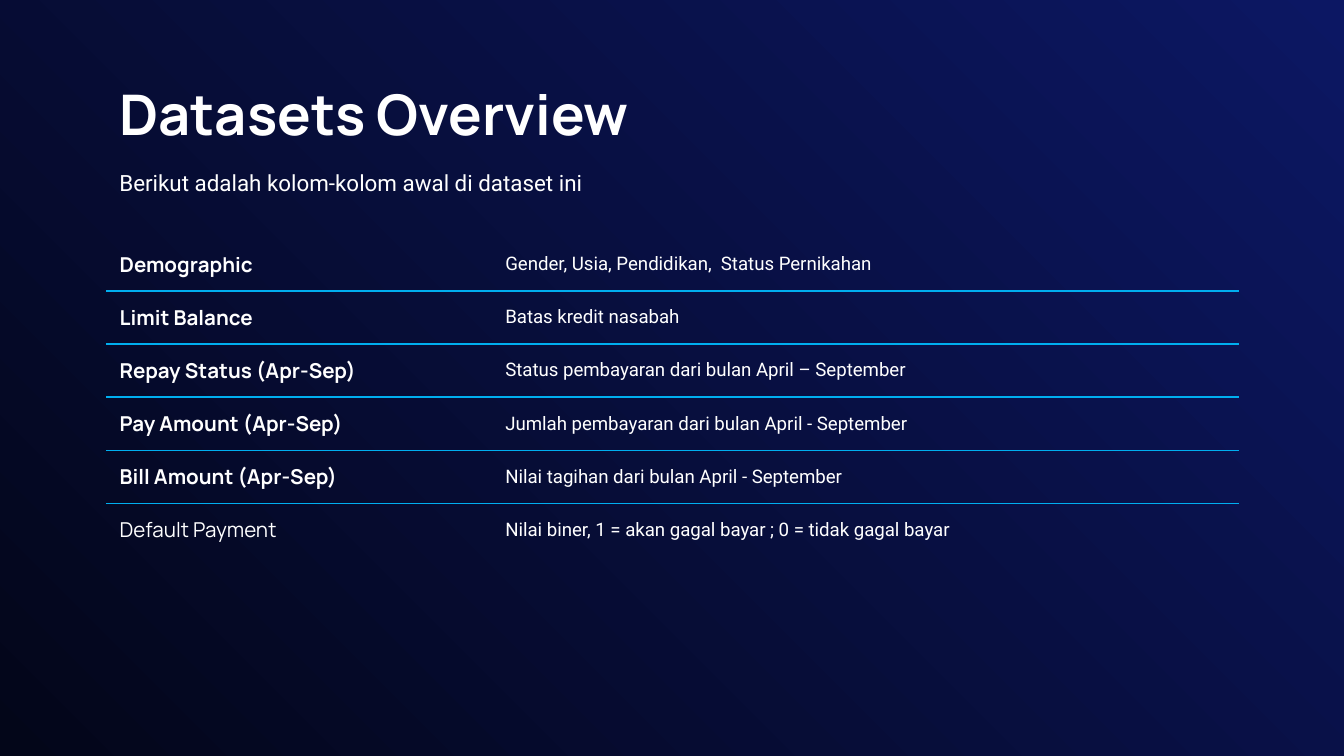
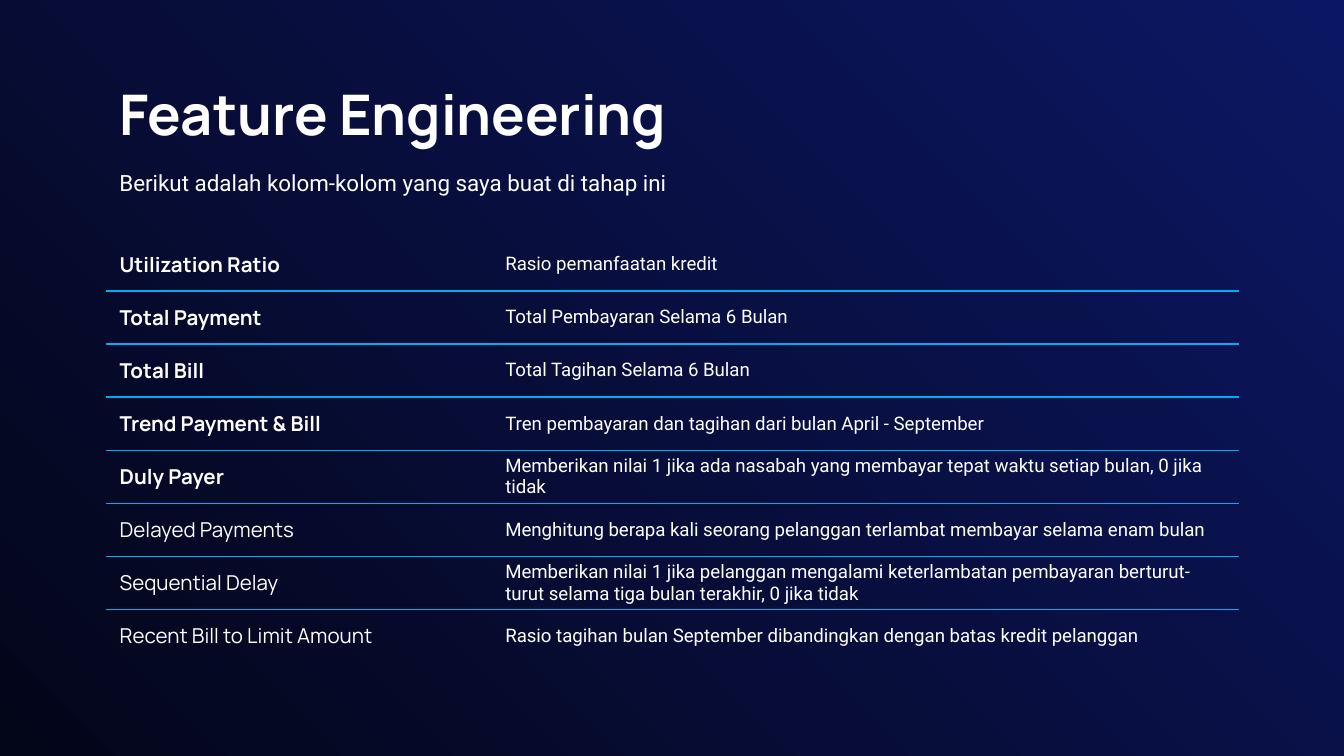
from lxml import etree
from pptx import Presentation
from pptx.dml.color import RGBColor
from pptx.enum import text
from pptx.oxml import ns, parse_xml
from pptx.util import Inches, Pt

WHITE, CYAN = "FFFFFF", "00AEEF"
NAVY, NIGHT = "0C1763", "030619"
HEAD, BODY = "Manrope", "Roboto"
LEFT, WIDTH = 0.79, 8.43
NAME_W = 2.87
ROW_H = Inches(3.16) // 8
NO_STYLE = "{2D5ABB26-0587-4C30-8999-92F81FD0307C}"

DATASETS = [
    ("Demographic", "Gender, Usia, Pendidikan,  Status Pernikahan"),
    ("Limit Balance", "Batas kredit nasabah"),
    ("Repay Status (Apr-Sep)", "Status pembayaran dari bulan April – September"),
    ("Pay Amount (Apr-Sep)", "Jumlah pembayaran dari bulan April - September"),
    ("Bill Amount (Apr-Sep)", "Nilai tagihan dari bulan April - September"),
    ("Default Payment", "Nilai biner, 1 = akan gagal bayar ; 0 = tidak gagal bayar"),
]
FEATURES = [
    ("Utilization Ratio", "Rasio pemanfaatan kredit"),
    ("Total Payment", "Total Pembayaran Selama 6 Bulan"),
    ("Total Bill", "Total Tagihan Selama 6 Bulan"),
    ("Trend Payment & Bill", "Tren pembayaran dan tagihan dari bulan April - September"),
    ("Duly Payer", "Memberikan nilai 1 jika ada nasabah yang membayar tepat waktu "
                   "setiap bulan, 0 jika tidak"),
    ("Delayed Payments", "Menghitung berapa kali seorang pelanggan terlambat membayar "
                         "selama enam bulan"),
    ("Sequential Delay", "Memberikan nilai 1 jika pelanggan mengalami keterlambatan pembayaran "
                         "berturut-turut selama tiga bulan terakhir, 0 jika tidak"),
    ("Recent Bill to Limit Amount", "Rasio tagihan bulan September dibandingkan dengan "
                                    "batas kredit pelanggan"),
]
BOLD_ROWS = 5


def color(value):
    """Turn a hex string into a colour."""
    return RGBColor.from_string(value)


def style(p, font, size, bold=False):
    """Set the font of a paragraph."""
    p.font.name, p.font.size, p.font.bold = font, Pt(size), bold
    p.font.color.rgb = color(WHITE)


def paint_background(s):
    """Give the slide a radial gradient that starts at the top right."""
    fill = s.background.fill
    fill.gradient()
    fill.gradient_stops[0].color.rgb = color(NAVY)
    fill.gradient_stops[1].color.rgb = color(NIGHT)
    grad = s.background._cSld.find(".//" + ns.qn("a:gradFill"))
    stops = grad.find(ns.qn("a:gsLst"))
    for stop, pos in zip(stops, ("0", "100000")):
        stop.set("pos", pos)
    for child in list(grad):
        if child is not stops:
            grad.remove(child)
    grad.append(parse_xml(
        f'<a:path {ns.nsdecls("a")} path="circle">'
        '<a:fillToRect l="100000" t="0" r="0" b="100000"/></a:path>'))


def add_text(s, box, words, font, size, bold=False, right=0.1):
    """Add one line of text in a box of left, top, width and height."""
    tf = s.shapes.add_textbox(*map(Inches, box)).text_frame
    tf.word_wrap = True
    tf.margin_left = tf.margin_top = tf.margin_bottom = Inches(0.1)
    tf.margin_right = Inches(right)
    p = tf.paragraphs[0]
    p.text = words
    style(p, font, size, bold)


def rule(cell, sides):
    """Draw cyan lines on the given sides of a cell."""
    tc_pr = cell._tc.get_or_add_tcPr()
    for i, side in enumerate(sides):
        ln = etree.Element(ns.qn("a:ln" + side), w=str(Pt(0.75)))
        fill = etree.SubElement(ln, ns.qn("a:solidFill"))
        etree.SubElement(fill, ns.qn("a:srgbClr"), val=CYAN)
        tc_pr.insert(i, ln)


def add_rows(s, left, top, width, rows):
    """Add the table of column names and descriptions."""
    frame = s.shapes.add_table(len(rows), 2, Inches(left), Inches(top),
                               Inches(width), ROW_H * len(rows))
    table = frame.table
    table.first_row = table.horz_banding = False
    table._tbl.tblPr.find(ns.qn("a:tableStyleId")).text = NO_STYLE
    table.columns[0].width = Inches(NAME_W)
    table.columns[1].width = Inches(width - NAME_W)
    for i, row in enumerate(rows):
        sides = ("T" if i else "") + ("B" if i < len(rows) - 1 else "")
        for j, words in enumerate(row):
            cell = table.cell(i, j)
            cell.fill.background()
            cell.vertical_anchor = text.MSO_ANCHOR.MIDDLE
            cell.margin_left = cell.margin_right = Inches(0.1)
            cell.margin_top = cell.margin_bottom = 0
            p = cell.text_frame.paragraphs[0]
            p.text = words
            if j:
                style(p, BODY, 10)
                p.space_after = Pt(16)
            else:
                style(p, HEAD, 11, i < BOLD_ROWS)
            rule(cell, sides)


def add_table_slide(prs, title, subtitle, rows):
    """Add a slide with a title, a subtitle and a table."""
    s = prs.slides.add_slide(prs.slide_layouts[6])
    paint_background(s)
    add_text(s, (LEFT, 0.49, WIDTH, 0.63), title, HEAD, 30, bold=True)
    add_rows(s, LEFT, 1.77, WIDTH, rows)
    add_text(s, (LEFT, 1.16, WIDTH, 0.4), subtitle, BODY, 12, right=0)


def main():
    """Build and save the slides."""
    prs = Presentation()
    prs.slide_width = Inches(10)
    prs.slide_height = prs.slide_width * 9 // 16
    add_table_slide(prs, "Datasets Overview",
                    "Berikut adalah kolom-kolom awal di dataset ini", DATASETS)
    add_table_slide(prs, "Feature Engineering",
                    "Berikut adalah kolom-kolom yang saya buat di tahap ini", FEATURES)
    prs.save("out.pptx")


if __name__ == "__main__":
    main()
